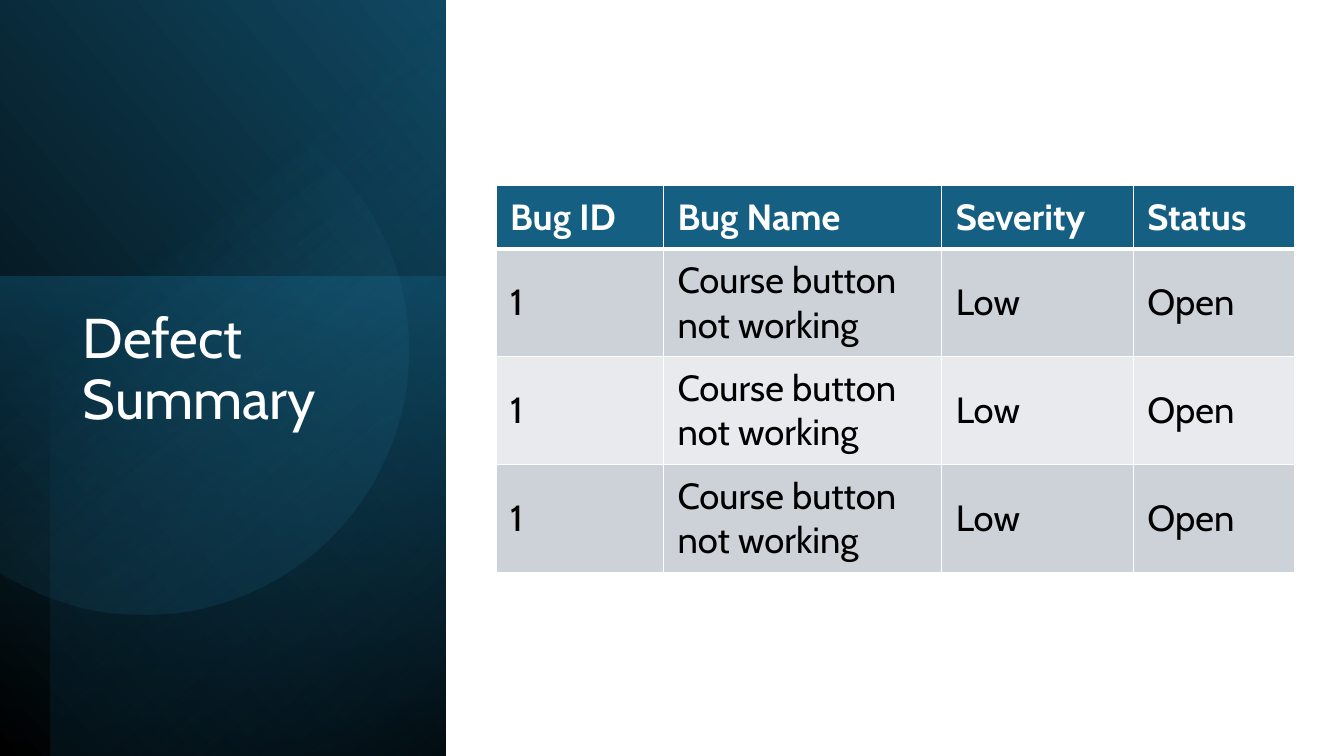
import math
from dataclasses import dataclass

import lxml.etree
import pptx
import pptx.dml.color
import pptx.enum.shapes
import pptx.enum.text
import pptx.oxml
import pptx.oxml.ns
import pptx.util

Inches = pptx.util.Inches
Pt = pptx.util.Pt
qn = pptx.oxml.ns.qn


@dataclass(frozen=True)
class Theme:
    font: str = "Cabin"
    large: int = 40
    body: int = 26
    white: str = "FFFFFF"
    black: str = "000000"
    teal: str = "156082"
    deep: str = "104862"
    dark: str = "0B3041"
    sky: str = "46B1E1"
    bands: tuple = ("CCD2D8", "E8EAED")


def color(code):
    return pptx.dml.color.RGBColor.from_string(code)


def write(frame, text, font, size, ink, bold=False, space=1.0):
    line = frame.paragraphs[0]
    line.alignment = pptx.enum.text.PP_ALIGN.LEFT
    line.line_spacing = space
    run = line.add_run()
    run.text = text
    run.font.name = font
    run.font.size = Pt(size)
    run.font.bold = bold
    run.font.color.rgb = color(ink)


class Page:
    def __init__(self, deck, theme):
        self.theme = theme
        self.slide = deck.slides.add_slide(deck.slide_layouts[5])
        self.shapes = self.slide.shapes

    def blend(self, shape, stops, angle):
        shape.shadow.inherit = False
        shape.line.fill.background()
        shape.fill.gradient()
        grad = shape.fill._xPr.find(qn("a:gradFill"))
        for part in list(grad):
            grad.remove(part)
        grad.set("rotWithShape", "1")
        row = lxml.etree.SubElement(grad, qn("a:gsLst"))
        for place, code, alpha in stops:
            stop = lxml.etree.SubElement(row, qn("a:gs"), pos=str(place * 1000))
            tone = lxml.etree.SubElement(stop, qn("a:srgbClr"), val=code)
            lxml.etree.SubElement(tone, qn("a:alpha"), val=str(alpha * 1000))
        lxml.etree.SubElement(grad, qn("a:lin"), ang=str(angle * 60000), scaled="0")

    def panel(self, box, turn, stops, angle, flip=False):
        kind = pptx.enum.shapes.MSO_SHAPE.RECTANGLE
        shape = self.shapes.add_shape(kind, *map(Inches, box))
        shape.rotation = turn
        if flip:
            shape._element.spPr.find(qn("a:xfrm")).set("flipH", "1")
        self.blend(shape, stops, angle)

    def disc(self, box, radius, first, last, turn, stops, angle):
        steps = 120
        points = []
        for step in range(steps + 1):
            bend = math.radians(first + (last - first) * step / steps)
            points.append((Inches(radius * math.cos(bend)), Inches(radius * math.sin(bend))))
        pen = self.shapes.build_freeform(*points[0])
        pen.add_line_segments(points[1:], close=True)
        shape = pen.convert_to_shape()
        shape.left, shape.top, shape.width, shape.height = map(Inches, box)
        shape.rotation = turn
        self.blend(shape, stops, angle)

    def title(self, text, box):
        head = self.shapes.title
        head.left, head.top, head.width, head.height = map(Inches, box)
        frame = head.text_frame
        frame.word_wrap = True
        frame.auto_size = pptx.enum.text.MSO_AUTO_SIZE.NONE
        frame.vertical_anchor = pptx.enum.text.MSO_ANCHOR.TOP
        write(frame, text, self.theme.font, self.theme.large, self.theme.white, space=0.9)
        self.shapes._spTree.append(head._element)

    def edge(self, cell, side, width):
        prop = cell._tc.get_or_add_tcPr()
        line = pptx.oxml.parse_xml(
            f'<a:{side} xmlns:a="http://schemas.openxmlformats.org/drawingml/2006/main" '
            f'w="{Pt(width)}"><a:solidFill><a:srgbClr val="{self.theme.white}"/>'
            f'</a:solidFill></a:{side}>')
        prop.insert(len(prop) - 1, line)

    def cell(self, cell, text, row):
        theme = self.theme
        head = row == 0
        cell.fill.solid()
        cell.fill.fore_color.rgb = color(theme.teal if head else theme.bands[(row - 1) % 2])
        cell.vertical_anchor = pptx.enum.text.MSO_ANCHOR.MIDDLE
        cell.margin_left = cell.margin_right = Inches(0.14)
        cell.margin_top = cell.margin_bottom = Inches(0.07)
        write(cell.text_frame, text, theme.font, theme.body,
              theme.white if head else theme.black, bold=head)
        for side in ("lnL", "lnR", "lnT", "lnB"):
            thick = (row, side) in ((0, "lnB"), (1, "lnT"))
            self.edge(cell, side, 3 if thick else 1)

    def table(self, data, left, top, widths, heights):
        box = map(Inches, (left, top, sum(widths), sum(heights)))
        grid = self.shapes.add_table(len(data), len(widths), *box).table
        grid.first_row = grid.horz_banding = False
        for col, width in zip(grid.columns, widths):
            col.width = Inches(width)
        for row, height in zip(grid.rows, heights):
            row.height = Inches(height)
        for row, texts in enumerate(data):
            for col, text in enumerate(texts):
                self.cell(grid.cell(row, col), text, row)


def main():
    deck = pptx.Presentation()
    deck.slide_width = Inches(13.33)
    deck.slide_height = Inches(7.5)
    theme = Theme()
    page = Page(deck, theme)

    page.panel((-1.55, 1.55, 7.52, 4.42), 90,
               [(0, theme.black, 100), (100, theme.deep, 100)], 310, flip=True)
    page.panel((-0.17, 2.91, 4.76, 4.42), 270,
               [(0, theme.teal, 50), (100, theme.dark, 0)], 190)
    page.panel((-1.29, 1.79, 7.5, 3.92), 270,
               [(0, theme.black, 59), (69, theme.teal, 0)], 220, flip=True)
    page.disc((-0.82, 1.31, 5.26, 4.47), 2.63, -224.6, 21.4, 101.6,
              [(39, theme.sky, 0), (100, theme.deep, 26)], 310)

    page.title("Defect Summary", (0.72, 3.03, 3.15, 3.36))
    bug = ("1", "Course button not working", "Low", "Open")
    data = [("Bug ID", "Bug Name", "Severity", "Status")] + [bug] * 3
    page.table(data, 4.92, 1.84, (1.66, 2.76, 1.9, 1.6), [0.63] + [1.07] * 3)

    deck.save("out.pptx")


if __name__ == "__main__":
    main()
